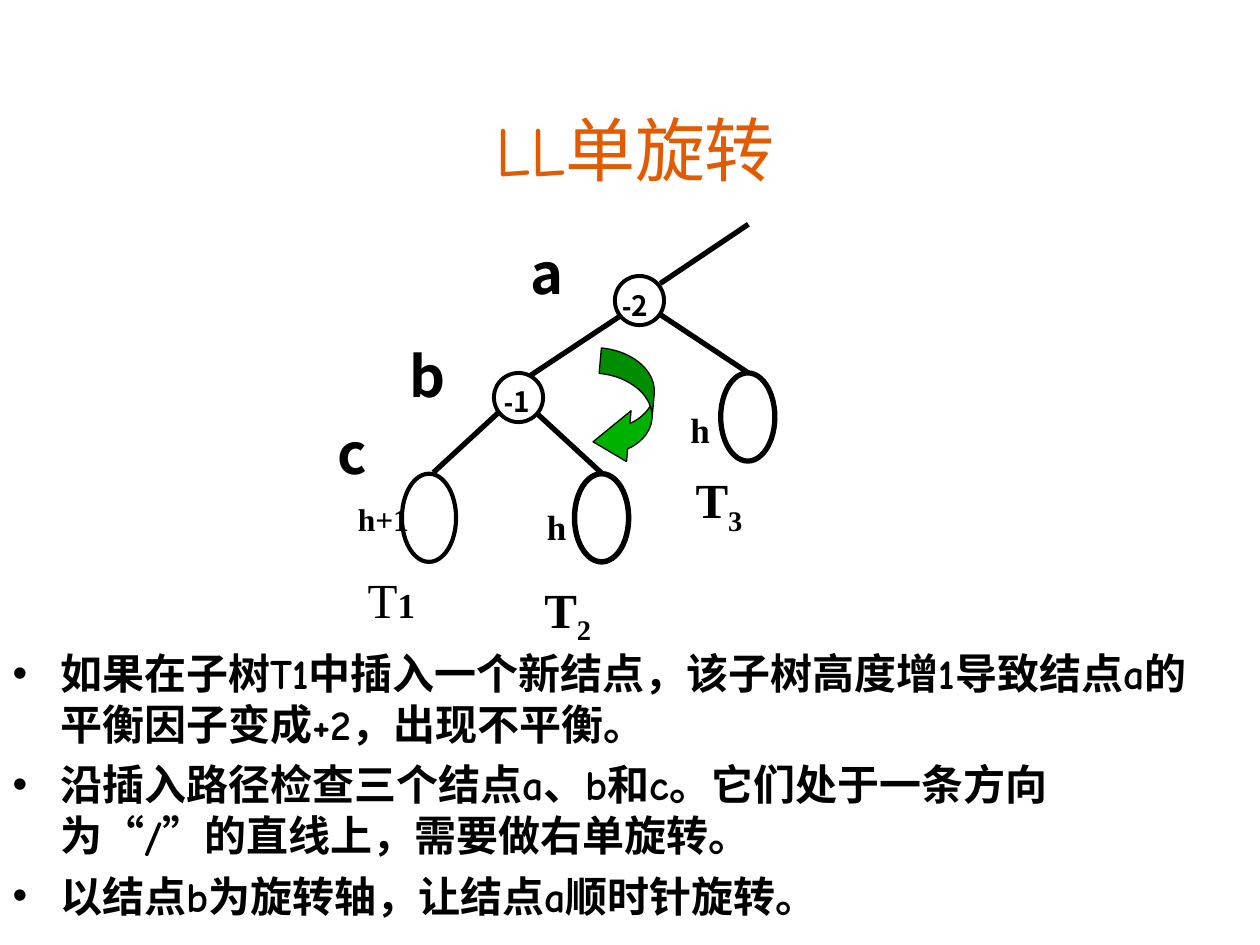
from typing import NamedTuple

from lxml import etree
from pptx import Presentation
from pptx.dml.color import RGBColor
from pptx.enum.shapes import MSO_CONNECTOR, MSO_SHAPE
from pptx.enum.text import MSO_ANCHOR, MSO_AUTO_SIZE, PP_ALIGN
from pptx.oxml.ns import qn
from pptx.util import Inches, Pt

OVAL, ARROW = MSO_SHAPE.OVAL, MSO_SHAPE.CURVED_LEFT_ARROW
STRAIGHT = MSO_CONNECTOR.STRAIGHT
TOP, MIDDLE = MSO_ANCHOR.TOP, MSO_ANCHOR.MIDDLE
CENTER, NO_FIT = PP_ALIGN.CENTER, MSO_AUTO_SIZE.NONE
BLACK, ORANGE, GREEN = "000000", "E25B00", "00B200"
COMIC, CJK, TIMES, ARIAL = "Comic Neue", "Noto Sans CJK SC", "Times New Roman", "Arial"
NODE_SIZE = 0.39
SUBTREE_W, SUBTREE_H = 0.43, 0.7


class Node(NamedTuple):
    name: str
    left: float
    top: float
    balance: str
    balance_at: tuple[float, float]
    name_at: tuple[float, float]


class Subtree(NamedTuple):
    left: float
    top: float
    weight: float
    height: str
    height_size: int
    height_at: tuple[float, float]


class Edge(NamedTuple):
    x1: float
    y1: float
    x2: float
    y2: float


NODES = [
    Node("a", 4.88, 2.19, "2", (4.84, 2.24), (4.11, 1.84)),
    Node("b", 3.92, 2.96, "1", (3.9, 3.0), (3.15, 2.66)),
]
SUBTREES = [
    Subtree(3.19, 3.76, 2.38, "h+1", 18, (2.84, 3.97)),
    Subtree(4.56, 3.76, 3.12, "h", 20, (4.34, 4.01)),
    Subtree(5.72, 2.96, 3, "h", 20, (5.48, 3.24)),
]
EDGES = [
    Edge(5.24, 2.25, 5.94, 1.78),
    Edge(5.23, 2.49, 5.94, 2.96),
    Edge(4.92, 2.51, 4.21, 2.98),
    Edge(3.95, 3.28, 3.44, 3.75),
    Edge(4.26, 3.28, 4.77, 3.75),
]
BULLETS = [
    "如果在子树T1中插入一个新结点，该子树高度增1导致结点a的平衡因子变成+2，出现不平衡。",
    "沿插入路径检查三个结点a、b和c。它们处于一条方向为“/”的直线上，需要做右单旋转。",
    "以结点b为旋转轴，让结点a顺时针旋转。",
]


def rgb(color: str) -> RGBColor:
    return RGBColor.from_string(color)


def add_run(p, text: str, *, size: float, font: str, color: str = BLACK,
            bold: bool = True, baseline: int = 0) -> None:
    r = p.add_run()
    r.text = text
    r.font.size, r.font.bold, r.font.name = Pt(size), bold, font
    r.font.color.rgb = rgb(color)
    rPr = r.font._element
    if baseline:
        rPr.set("baseline", str(baseline))
    ea = etree.Element(qn("a:ea"), typeface=CJK)
    rPr.find(qn("a:latin")).addnext(ea)


def place(shape, left: float, top: float, width: float, height: float) -> None:
    shape.left, shape.top = Inches(left), Inches(top)
    shape.width, shape.height = Inches(width), Inches(height)


def add_label(s, at: tuple[float, float], width: float, height: float, inset: bool = True):
    tf = s.shapes.add_textbox(Inches(at[0]), Inches(at[1]),
                              Inches(width), Inches(height)).text_frame
    tf.word_wrap = True
    if not inset:
        tf.margin_left = tf.margin_right = tf.margin_top = tf.margin_bottom = 0
    return tf.paragraphs[0]


def add_outline(s, kind, left: float, top: float, width: float, height: float,
                weight: float, fill: str | None = None):
    sp = s.shapes.add_shape(kind, Inches(left), Inches(top), Inches(width), Inches(height))
    sp.shadow.inherit = False
    if fill:
        sp.fill.solid()
        sp.fill.fore_color.rgb = rgb(fill)
    else:
        sp.fill.background()
    sp.line.color.rgb = rgb(BLACK)
    sp.line.width = Pt(weight)
    return sp


def add_edge(s, edge: Edge) -> None:
    c = s.shapes.add_connector(STRAIGHT, *(Inches(v) for v in edge))
    c.line.color.rgb = rgb(BLACK)
    c.line.width = Pt(3)
    etree.SubElement(c._element.spPr, qn("a:effectLst"))


def add_name(s, name: str, at: tuple[float, float]) -> None:
    add_run(add_label(s, at, 1.2, 0.64), name, size=32, font=CJK)


def add_node(s, node: Node) -> None:
    add_outline(s, OVAL, node.left, node.top, NODE_SIZE, NODE_SIZE, 2.25)
    p = add_label(s, node.balance_at, 0.47, 0.37)
    add_run(p, "-", size=16, font=ARIAL)
    add_run(p, node.balance, size=16, font=CJK)
    add_name(s, node.name, node.name_at)


def add_subtree(s, tree: Subtree) -> None:
    add_outline(s, OVAL, tree.left, tree.top, SUBTREE_W, SUBTREE_H, tree.weight)
    p = add_label(s, tree.height_at, 1, 0.33, inset=False)
    add_run(p, tree.height, size=tree.height_size, font=TIMES)


def add_bullet(p, text: str) -> None:
    pPr = p._p.get_or_add_pPr()
    pPr.set("marL", str(Inches(0.38)))
    pPr.set("indent", str(-Inches(0.38)))
    bu_clr = etree.SubElement(pPr, qn("a:buClr"))
    etree.SubElement(bu_clr, qn("a:srgbClr"), val=BLACK)
    etree.SubElement(pPr, qn("a:buFont"), typeface=ARIAL)
    etree.SubElement(pPr, qn("a:buChar"), char="•")
    add_run(p, text, size=24, font=COMIC)


def main() -> None:
    prs = Presentation()
    prs.slide_width, prs.slide_height = Inches(10), Inches(7.5)
    s = prs.slides.add_slide(prs.slide_layouts[1])

    # Title
    title = s.shapes.title
    place(title, 0.75, 0.76, 8.58, 0.83)
    tf = title.text_frame
    tf.auto_size, tf.vertical_anchor = NO_FIT, MIDDLE
    tf.paragraphs[0].alignment = CENTER
    add_run(tf.paragraphs[0], "LL单旋转", size=40, font=COMIC, color=ORANGE, bold=False)

    # Tree
    for edge in EDGES:
        add_edge(s, edge)
    for tree in SUBTREES:
        add_subtree(s, tree)
    for node in NODES:
        add_node(s, node)
    add_name(s, "c", (2.58, 3.27))

    # Subtree names
    p = add_label(s, (2.82, 4.47), 1.32, 0.57)
    add_run(p, "T", size=28, font=TIMES, bold=False)
    add_run(p, "1", size=20, font=TIMES)
    for index, at in (("2", (4.32, 4.6)), ("3", (5.52, 3.73))):
        p = add_label(s, at, 1.12, 0.53, inset=False)
        add_run(p, "T", size=28, font=TIMES)
        add_run(p, index, size=28, font=TIMES, baseline=-25000)

    # Rotation arrow
    arrow = add_outline(s, ARROW, 4.73, 2.78, 0.45, 1.02 - 0.07, 0.75, GREEN)
    arrow.rotation = 5.1
    for i, value in enumerate((0.45, 0.9, 0.62)):
        arrow.adjustments[i] = value

    # Explanation
    body = s.placeholders[1]
    place(body, 0, 5.09, 9.75, 3)
    tf = body.text_frame
    tf.auto_size, tf.vertical_anchor = NO_FIT, TOP
    for i, text in enumerate(BULLETS):
        p = tf.add_paragraph() if i else tf.paragraphs[0]
        p.space_before = Pt(6 if i else 0)
        add_bullet(p, text)

    prs.save("out.pptx")


if __name__ == "__main__":
    main()
